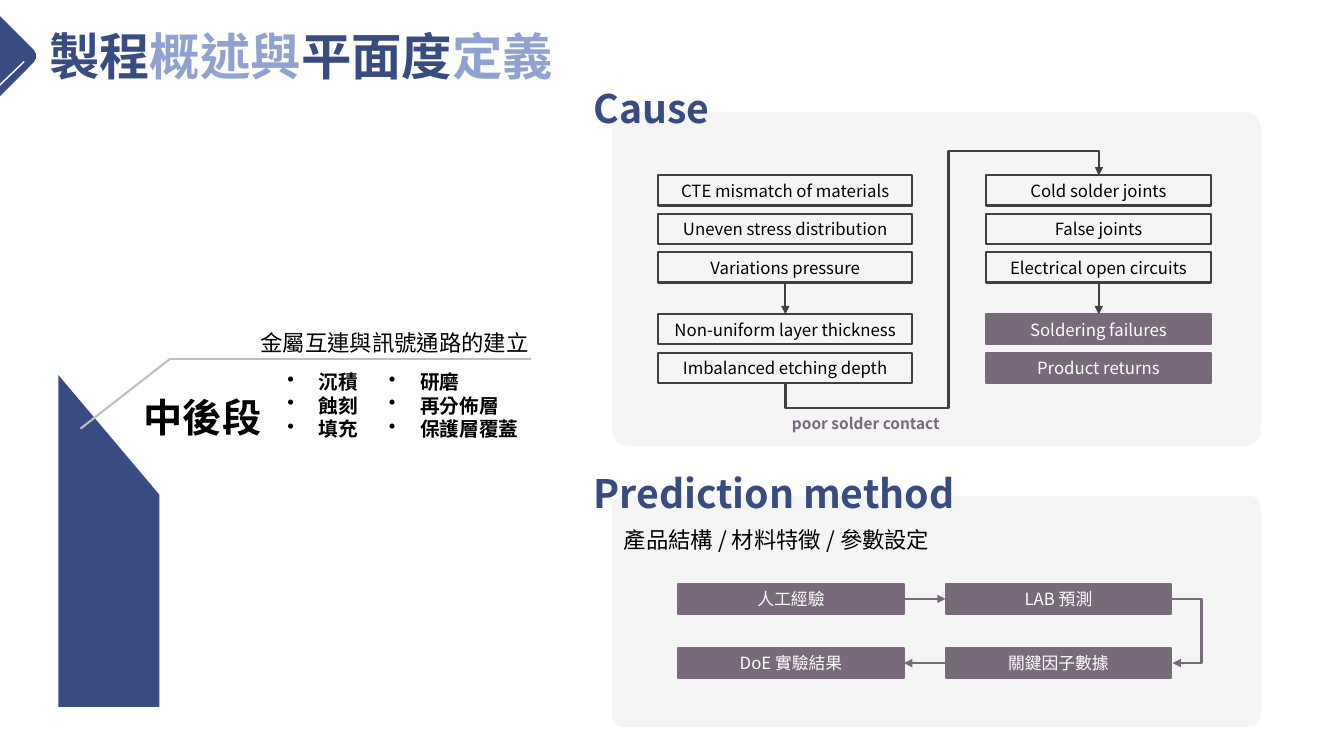
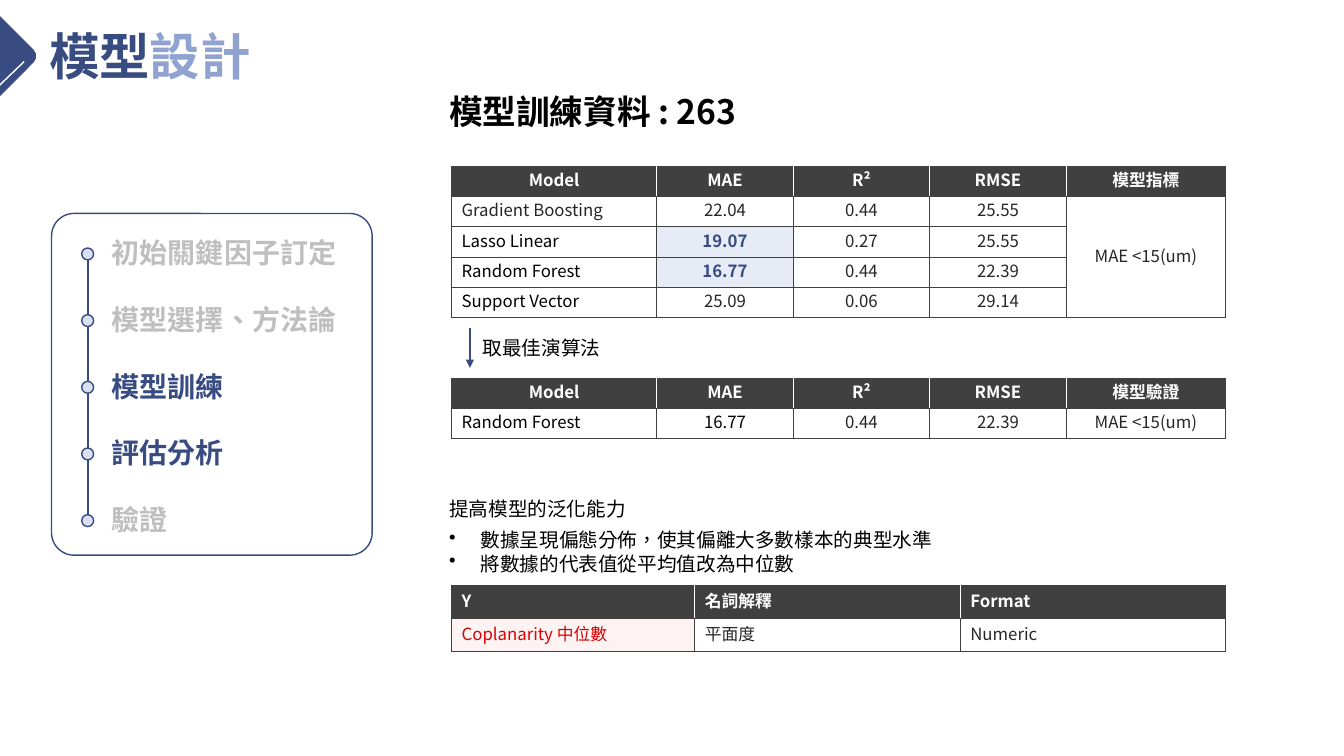
from dataclasses import dataclass
from itertools import cycle

from lxml.etree import SubElement
from pptx import Presentation
from pptx.dml.color import RGBColor
from pptx.enum.lang import MSO_LANGUAGE_ID
from pptx.enum.shapes import MSO_CONNECTOR, MSO_SHAPE
from pptx.enum.text import MSO_ANCHOR, PP_ALIGN
from pptx.oxml.ns import qn
from pptx.util import Cm, Pt


@dataclass(frozen=True)
class Theme:
    """Colours, font and type sizes of the deck."""

    font: str = "Noto Sans CJK SC"
    navy: str = "384C81"
    sky: str = "90A2CF"
    pale: str = "DAE0EF"
    tint: str = "E6EBF5"
    plum: str = "78697B"
    panel: str = "F5F5F5"
    white: str = "FFFFFF"
    black: str = "000000"
    ink: str = "262626"
    charcoal: str = "404040"
    grey: str = "BFBFBF"
    red: str = "DC0000"
    blush: str = "FDF3F3"
    title: int = 36
    heading: int = 28
    subheading: int = 24
    step: int = 20
    lead: int = 16
    body: int = 14
    small: int = 12
    note: int = 11
    line: float = 1.5
    thin: float = 1
    border: float = 0.75


THEME = Theme()


def write(para, text, *, size=THEME.small, color=THEME.black, bold=False,
          align=PP_ALIGN.LEFT, bullet=False):
    """Add a formatted span to a paragraph."""
    para.alignment = align
    para.line_spacing = Pt(size * 1.2)
    if bullet:
        settings = para._p.get_or_add_pPr()
        settings.set("marL", str(Cm(0.79)))
        settings.set("indent", str(Cm(-0.79)))
        SubElement(settings, qn("a:buChar"), char="•")
    span = para.add_run()
    span.text = text
    font = span.font
    font.name, font.size, font.bold = THEME.font, Pt(size), bold
    font.color.rgb = RGBColor.from_string(color)
    font.language_id = MSO_LANGUAGE_ID.TRADITIONAL_CHINESE
    SubElement(span._r.get_or_add_rPr(), qn("a:ea"), typeface=THEME.font)


def add_label(page, left, top, width, height, *lines, wrap=False, **look):
    """Add a text box with one paragraph per line."""
    box = page.shapes.add_textbox(Cm(left), Cm(top), Cm(width), Cm(height))
    frame = box.text_frame
    frame.word_wrap = wrap
    for index, line in enumerate(lines):
        para = frame.add_paragraph() if index else frame.paragraphs[0]
        write(para, line, **look)
    return frame


def paint(shape, fill=None, line=None, weight=THEME.line):
    """Set the fill and outline of a shape and drop its shadow."""
    shape.shadow.inherit = False
    if fill:
        shape.fill.solid()
        shape.fill.fore_color.rgb = RGBColor.from_string(fill)
    else:
        shape.fill.background()
    if line:
        shape.line.color.rgb = RGBColor.from_string(line)
        shape.line.width = Pt(weight)
    else:
        shape.line.fill.background()


def add_block(page, kind, left, top, width, height, corner=None, **colors):
    """Add a painted preset shape."""
    block = page.shapes.add_shape(kind, Cm(left), Cm(top), Cm(width), Cm(height))
    if corner is not None:
        block.adjustments[0] = corner
    paint(block, **colors)
    return block


def add_step(page, left, top, width, text, filled=False):
    """Add a one-line flow box."""
    edge = THEME.plum if filled else THEME.charcoal
    step = add_block(page, MSO_SHAPE.RECTANGLE, left, top, width, 0.76,
                     fill=THEME.plum if filled else None, line=edge)
    step.text_frame.word_wrap = False
    step.text_frame.vertical_anchor = MSO_ANCHOR.MIDDLE
    write(step.text_frame.paragraphs[0], text, align=PP_ALIGN.CENTER,
          color=THEME.white if filled else THEME.black)


def add_line(page, start, end, color, weight=THEME.line, arrow=False,
             kind=MSO_CONNECTOR.STRAIGHT):
    """Add a connector, with an arrowhead at its end if asked."""
    ends = [Cm(value) for value in (*start, *end)]
    connector = page.shapes.add_connector(kind, *ends)
    connector.line.color.rgb = RGBColor.from_string(color)
    connector.line.width = Pt(weight)
    properties = connector.element.spPr
    if arrow:
        SubElement(properties.find(qn("a:ln")), qn("a:tailEnd"), type="triangle")
    SubElement(properties, qn("a:effectLst"))
    return connector


def add_elbow(page, start, end, color, bends, turn=0):
    """Add a bent arrow whose bends are shares of its width and height."""
    elbow = add_line(page, start, end, color, arrow=True, kind=MSO_CONNECTOR.ELBOW)
    properties = elbow.element.spPr
    if turn:
        properties.find(qn("a:xfrm")).set("rot", str(turn * 60000))
    geometry = properties.find(qn("a:prstGeom"))
    geometry.set("prst", f"bentConnector{len(bends) + 2}")
    guides = geometry.find(qn("a:avLst"))
    if guides is None:
        guides = SubElement(geometry, qn("a:avLst"))
    for number, bend in enumerate(bends, 1):
        SubElement(guides, qn("a:gd"), name=f"adj{number}",
                   fmla=f"val {round(bend * 100000)}")


def set_borders(cell, colors):
    """Draw the left, right, top and bottom borders of a cell."""
    settings = cell._tc.get_or_add_tcPr()
    for side, color in zip("LRTB", colors):
        edge = SubElement(settings, qn(f"a:ln{side}"), w=str(Pt(THEME.border)))
        SubElement(SubElement(edge, qn("a:solidFill")), qn("a:srgbClr"), val=color)


def add_grid(page, top, widths, row_height, rows, centred=True, looks=None):
    """Add a table with a dark header row and special looks for some cells."""
    looks = looks or {}
    last = len(widths) - 1
    frame = page.shapes.add_table(len(rows), len(widths), Cm(11.38), Cm(top),
                                  Cm(sum(widths)), Cm(row_height * len(rows)))
    table = frame.table
    table.first_row = table.horz_banding = False
    for column, width in zip(table.columns, widths):
        column.width = Cm(width)
    for r, row in enumerate(rows):
        table.rows[r].height = Cm(row_height)
        for c, text in enumerate(row):
            cell = table.cell(r, c)
            header = r == 0
            look = {"color": THEME.white if header else THEME.ink, "bold": header,
                    "fill": THEME.charcoal if header else None, **looks.get((r, c), {})}
            fill = look.pop("fill")
            set_borders(cell, (THEME.white if header and c else THEME.charcoal,
                               THEME.white if header and c < last else THEME.charcoal,
                               THEME.charcoal, THEME.charcoal))
            if fill:
                cell.fill.solid()
                cell.fill.fore_color.rgb = RGBColor.from_string(fill)
            else:
                cell.fill.background()
            cell.vertical_anchor = MSO_ANCHOR.MIDDLE
            middle = centred and (header or c > 0)
            if text:
                write(cell.text_frame.paragraphs[0], text,
                      align=PP_ALIGN.CENTER if middle else PP_ALIGN.LEFT, **look)
    return table


def add_page(deck, *spans):
    """Add a blank page with the corner mark and a two-tone title."""
    page = deck.slides.add_slide(deck.slide_layouts[6])
    width = 0.51 + 1.27 * len("".join(spans))
    frame = add_label(page, 0.99, 0.51, width, 1.8)
    for span, color in zip(spans, cycle((THEME.navy, THEME.sky))):
        write(frame.paragraphs[0], span, size=THEME.title, color=color, bold=True)
    mark = add_block(page, MSO_SHAPE.ROUNDED_RECTANGLE, -1.42, 0.41, 2.01, 2.01,
                     corner=0.11, fill=THEME.navy)
    mark.rotation = 45
    add_line(page, (0.61, 1.55), (-0.18, 2.31), THEME.white, THEME.thin)
    return page


def add_cause(page):
    """Draw the chain from causes to failures."""
    tops = (4.42, 5.39, 6.36, 7.92, 8.89)
    causes = ("CTE mismatch of materials", "Uneven stress distribution",
              "Variations pressure", "Non-uniform layer thickness",
              "Imbalanced etching depth")
    effects = ("Cold solder joints", "False joints", "Electrical open circuits",
               "Soldering failures", "Product returns")
    for index, (top, cause, effect) in enumerate(zip(tops, causes, effects)):
        add_step(page, 16.59, top, 6.4, cause)
        add_step(page, 24.84, top, 5.69, effect, filled=index > 2)
    for middle in (19.79, 27.69):
        add_line(page, (middle, 7.12), (middle, 7.92), THEME.charcoal, arrow=True)
    add_elbow(page, (26.36, 10.99), (21.13, 3.09), THEME.charcoal,
              (-0.12, 0.52, 1.12), turn=90)
    add_label(page, 19.71, 10.31, 4.37, 0.74, "poor solder contact",
              size=THEME.note, color=THEME.plum, bold=True)


def add_prediction(page):
    """Draw the loop of prediction steps."""
    add_label(page, 15.47, 13.13, 8.51, 0.94, "產品結構 / 材料特徵 / 參數設定",
              wrap=True, size=THEME.lead)
    rows = ((14.71, "人工經驗", "LAB 預測"), (16.33, "DoE 實驗結果", "關鍵因子數據"))
    for top, first, second in rows:
        add_step(page, 17.09, top, 5.69, first, filled=True)
        add_step(page, 23.83, top, 5.69, second, filled=True)
    add_line(page, (22.78, 15.09), (23.83, 15.09), THEME.plum, arrow=True)
    add_elbow(page, (29.52, 15.09), (29.55, 16.71), THEME.plum, (25.33,))
    add_line(page, (23.83, 16.71), (22.78, 16.71), THEME.plum, arrow=True)


def add_process_stage(page):
    """Draw the cut column and the notes of the process stage."""
    builder = page.shapes.build_freeform(Cm(1.47), Cm(9.45))
    corners = ((4.02, 12.47), (4.02, 17.81), (1.47, 17.81))
    builder.add_line_segments([(Cm(x), Cm(y)) for x, y in corners])
    paint(builder.convert_to_shape(), fill=THEME.navy)
    add_label(page, 3.35, 9.78, 3.51, 1.45, "中後段", size=THEME.heading, bold=True,
              align=PP_ALIGN.CENTER)
    add_label(page, 6.32, 8.18, 7.34, 0.94, "金屬互連與訊號通路的建立", size=THEME.lead)
    for left, width, items in ((6.99, 2.31, ("沉積", "蝕刻", "填充")),
                               (9.55, 3.81, ("研磨", "再分佈層", "保護層覆蓋"))):
        add_label(page, left, 9.2, width, 2.06, *items, size=THEME.body, bold=True,
                  bullet=True)
    add_line(page, (4.29, 9.04), (13.39, 9.04), THEME.grey)
    add_line(page, (2.03, 10.8), (4.29, 9.04), THEME.grey)


def build_overview(deck):
    """Build the page on process and flatness."""
    page = add_page(deck, "製程", "概述與", "平面度", "定義")
    for top, height, heading, width in ((2.82, 8.43, "Cause", 3.48),
                                        (12.5, 5.82, "Prediction method", 9.88)):
        add_block(page, MSO_SHAPE.ROUNDED_RECTANGLE, 15.42, top, 16.36, height,
                  corner=0.05, fill=THEME.panel)
        add_label(page, 14.71, top - 0.81, width, 1.45, heading, size=THEME.heading,
                  color=THEME.navy, bold=True)
    add_cause(page)
    add_prediction(page)
    add_process_stage(page)


def add_agenda(page):
    """Draw the framed timeline with the active steps in navy."""
    add_block(page, MSO_SHAPE.ROUNDED_RECTANGLE, 1.3, 5.38, 8.08, 8.61, corner=0.07,
              line=THEME.navy, weight=THEME.thin)
    add_line(page, (2.21, 6.53), (2.21, 12.95), THEME.navy)
    steps = ("初始關鍵因子訂定", "模型選擇、方法論", "模型訓練", "評估分析", "驗證")
    for index, step in enumerate(steps):
        drop = 1.68 * index
        add_block(page, MSO_SHAPE.FLOWCHART_CONNECTOR, 2.06, 6.25 + drop, 0.3, 0.3,
                  fill=THEME.pale, line=THEME.navy, weight=THEME.thin)
        add_label(page, 2.57, 5.82 + drop, 0.51 + 0.71 * len(step), 1.12, step,
                  size=THEME.step, bold=True,
                  color=THEME.navy if index in (2, 3) else THEME.grey)


def build_model(deck):
    """Build the page on model design."""
    page = add_page(deck, "模型", "設計")
    add_agenda(page)
    add_label(page, 11.07, 2.16, 7.98, 1.27, "模型訓練資料 : 263",
              size=THEME.subheading, bold=True)
    widths = (5.17, 3.44, 3.44, 3.44, 4.02)
    header = ("Model", "MAE", "R²", "RMSE")
    target = "MAE <15(um)"
    dark = {"color": THEME.black}
    best = {"color": THEME.navy, "bold": True, "fill": THEME.tint}
    scores = add_grid(page, 4.19, widths, 0.76, (
        (*header, "模型指標"),
        ("Gradient Boosting", "22.04", "0.44", "25.55", target),
        ("Lasso Linear", "19.07", "0.27", "25.55", ""),
        ("Random Forest", "16.77", "0.44", "22.39", ""),
        ("Support Vector", "25.09", "0.06", "29.14", ""),
    ), looks={(2, 0): dark, (3, 0): dark, (4, 0): dark, (2, 1): best, (3, 1): best})
    scores.cell(1, 4).merge(scores.cell(4, 4))
    add_line(page, (11.84, 8.26), (11.84, 9.27), THEME.navy, arrow=True)
    add_label(page, 11.91, 8.33, 3.51, 0.86, "取最佳演算法", size=THEME.body)
    add_grid(page, 9.53, widths, 0.76, (
        (*header, "模型驗證"),
        ("Random Forest", "16.77", "0.44", "22.39", target),
    ), looks={(1, 0): dark, (1, 1): dark})
    add_label(page, 11.07, 12.4, 5, 0.86, "提高模型的泛化能力", size=THEME.body)
    add_label(page, 11.07, 13.18, 12.78, 1.45,
              "數據呈現偏態分佈，使其偏離大多數樣本的典型水準",
              "將數據的代表值從平均值改為中位數", size=THEME.body, bullet=True)
    add_grid(page, 14.76, (6.13, 6.69, 6.69), 0.83, (
        ("Y", "名詞解釋", "Format"),
        ("Coplanarity 中位數", "平面度", "Numeric"),
    ), centred=False, looks={(1, 0): {"color": THEME.red, "fill": THEME.blush}})


def main():
    """Build and save the deck."""
    deck = Presentation()
    deck.slide_width, deck.slide_height = Cm(33.87), Cm(19.05)
    build_overview(deck)
    build_model(deck)
    deck.save("out.pptx")


if __name__ == "__main__":
    main()
